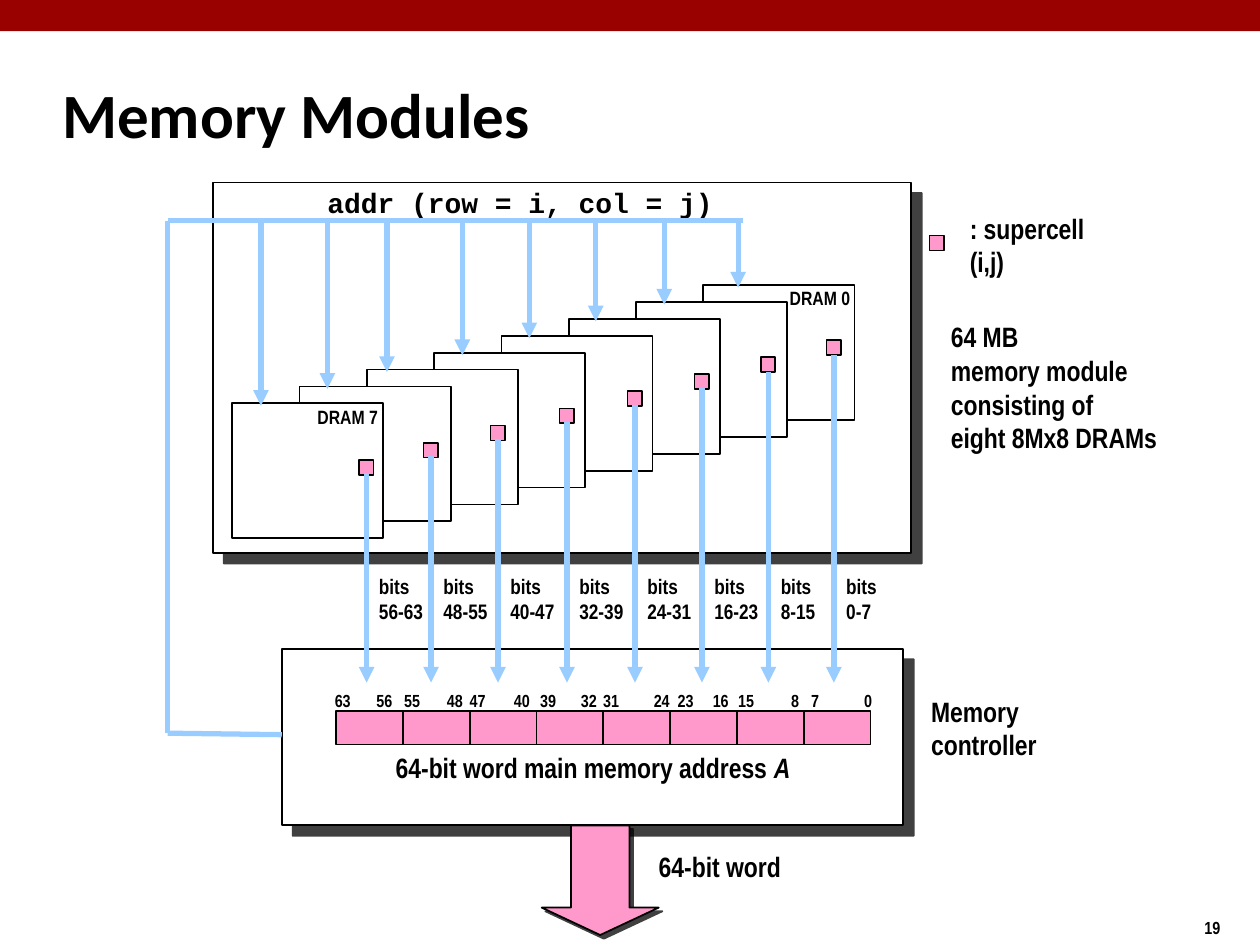
from dataclasses import dataclass

import pptx
import pptx.dml.color
import pptx.enum.shapes
import pptx.enum.text
import pptx.oxml
import pptx.oxml.ns
import pptx.util
from lxml import etree

Cm, Pt = pptx.util.Cm, pptx.util.Pt
SHAPE = pptx.enum.shapes.MSO_SHAPE
ANCHOR = pptx.enum.text.MSO_ANCHOR
ALIGN = pptx.enum.text.PP_ALIGN
qn = pptx.oxml.ns.qn


@dataclass(frozen=True)
class Theme:
    band: str = "990000"
    ink: str = "000000"
    paper: str = "FFFFFF"
    cell: str = "FF99CC"
    wire: str = "99CCFF"
    title_font: str = "Calibri"
    body_font: str = "Arial Narrow"
    code_font: str = "Courier New"
    title: int = 36
    label: int = 16
    bits: int = 12
    chip: int = 11
    small: int = 10
    thin: int = 1
    thick: int = 3


T = Theme()

# One column per DRAM, from DRAM 7 on the left to DRAM 0 on the right (cm)
ADDR_X = [5.26, 6.6, 7.8, 9.32, 10.67, 12.01, 13.39, 14.88]
DATA_X = [7.39, 8.69, 10.04, 11.43, 12.8, 14.15, 15.49, 16.81]
HIGH_X = [6.5, 7.9, 9.22, 10.64, 11.91, 13.41, 14.63, 16.1]
LOW_X = [7.34, 8.76, 10.11, 11.46, 12.93, 14.12, 15.7, 17.17]
COUNT = len(DATA_X)
BUS_Y, BUS_LEFT, BUS_RIGHT = 4.45, 3.38, 14.97
RISE = 0.34


def rgb(color):
    return pptx.dml.color.RGBColor.from_string(color)


def add_run(p, text, size, font=T.body_font, italic=None):
    r = p.add_run()
    r.text = text
    r.font.size, r.font.name = Pt(size), font
    r.font.bold, r.font.italic = True, italic
    r.font.color.rgb = rgb(T.ink)


def add_label(s, x, y, w, h, lines, size, font=T.body_font):
    """Left-aligned text, one paragraph for each line."""
    tf = s.shapes.add_textbox(Cm(x), Cm(y), Cm(w), Cm(h)).text_frame
    tf.word_wrap = True
    tf.vertical_anchor = ANCHOR.MIDDLE
    for i, line in enumerate(lines):
        p = tf.add_paragraph() if i else tf.paragraphs[0]
        add_run(p, line, size, font)
    return tf


def add_shadow(sp, distance):
    effects = sp._element.spPr.find(qn("a:effectLst"))
    shadow = etree.SubElement(effects, qn("a:outerShdw"), dist=str(Pt(distance)),
                              dir="2700000", algn="tl", rotWithShape="0")
    color = etree.SubElement(shadow, qn("a:srgbClr"), val=T.ink)
    etree.SubElement(color, qn("a:alpha"), val="75000")


def add_box(s, x, y, w, h, fill, kind=SHAPE.RECTANGLE, outlined=True, shadow=0):
    sp = s.shapes.add_shape(kind, Cm(x), Cm(y), Cm(w), Cm(h))
    sp.shadow.inherit = False
    sp.fill.solid()
    sp.fill.fore_color.rgb = rgb(fill)
    if outlined:
        sp.line.color.rgb = rgb(T.ink)
        sp.line.width = Pt(T.thin)
    else:
        sp.line.fill.background()
    if shadow:
        add_shadow(sp, shadow)
    return sp


def add_wire(s, x1, y1, x2, y2, arrow=False):
    c = s.shapes.add_connector(pptx.enum.shapes.MSO_CONNECTOR.STRAIGHT,
                               Cm(x1), Cm(y1), Cm(x2), Cm(y2))
    c.line.color.rgb = rgb(T.wire)
    c.line.width = Pt(T.thick)
    if arrow:
        etree.SubElement(c.line._get_or_add_ln(), qn("a:tailEnd"), type="triangle")
    etree.SubElement(c._element.spPr, qn("a:effectLst"))


def add_supercell(s, center_x, y):
    add_box(s, center_x - 0.15, y, 0.29, 0.3, T.cell)


def add_title(s, text):
    sp = s.shapes.title
    sp.left, sp.top, sp.width, sp.height = Cm(1), Cm(1.22), Cm(21.08), Cm(2.11)
    tf = sp.text_frame
    tf.vertical_anchor = ANCHOR.MIDDLE
    tf.paragraphs[0].alignment = ALIGN.LEFT
    add_run(tf.paragraphs[0], text, T.title, T.title_font)


def add_module(s):
    """Memory module board with its staggered DRAMs, back to front."""
    add_box(s, 4.3, 3.68, 14.07, 7.47, T.paper, shadow=8.5)
    for i in reversed(range(COUNT)):
        add_box(s, 4.68 + 1.357 * i, 8.13 - RISE * i, 3.05, 2.72, T.paper)
    add_label(s, 6.15, 8.05, 2, 0.71, ["DRAM 7"], T.chip)
    add_label(s, 15.67, 5.64, 2, 0.71, ["DRAM 0"], T.chip)


def add_address_bus(s):
    add_label(s, 6.35, 3.6, 8.5, 0.94, ["addr (row = i, col = j)"], T.label, T.code_font)
    add_wire(s, BUS_LEFT, BUS_Y, BUS_RIGHT, BUS_Y)
    add_wire(s, BUS_LEFT, 14.78, BUS_LEFT, BUS_Y)
    add_wire(s, 5.68, 14.81, BUS_LEFT, 14.78)
    for i, x in enumerate(ADDR_X):
        add_wire(s, x, BUS_Y, x, 8.18 - RISE * i, arrow=True)


def add_data_lines(s):
    """Supercell, its line to the controller and its bit range."""
    for i, x in enumerate(DATA_X):
        low = 8 * (COUNT - 1 - i)
        add_supercell(s, x, 9.27 - 0.345 * i)
        add_wire(s, x, 9.53 - RISE * i, x, 13.76, arrow=True)
        add_label(s, x, 11.43, 1.6, 1.27, ["bits", f"{low}-{low + 7}"], T.bits)


def add_word(s):
    """64-bit word, one byte for each DRAM."""
    for i, (high_x, low_x) in enumerate(zip(HIGH_X, LOW_X)):
        low = 8 * (COUNT - 1 - i)
        add_box(s, 6.78 + 1.346 * i, 14.33, 1.346, 0.68, T.cell)
        for x, bit in ((high_x, low + 7), (low_x, low)):
            add_label(s, x, 13.77, 1, 0.69, [str(bit)], T.small)
    tf = add_label(s, 7.47, 14.99, 8.97, 0.94,
                   ["64-bit word main memory address "], T.label)
    p = tf.paragraphs[0]
    p.alignment = ALIGN.CENTER
    add_run(p, "A", T.label, italic=True)


def main():
    prs = pptx.Presentation()
    prs.slide_width, prs.slide_height = Cm(25.4), Cm(19.05)
    s = prs.slides.add_slide(prs.slide_layouts[5])

    # Frame of the slide
    add_box(s, 0, 0, 25.4, 0.63, T.band, outlined=False)
    add_title(s, "Memory Modules")
    add_label(s, 24.03, 18.36, 1.3, 0.69, ["19"], T.small)

    # Module, controller and the lines between them
    add_module(s)
    add_box(s, 5.69, 13.08, 12.52, 3.56, T.paper, shadow=8.5)
    add_address_bus(s)
    add_data_lines(s)
    add_word(s)

    # Word sent out
    add_box(s, 10.92, 16.64, 2.36, 2.21, T.cell, SHAPE.DOWN_ARROW, shadow=3).adjustments[1] = 0.25
    add_label(s, 13.03, 16.99, 3.4, 0.94, ["64-bit word"], T.label)

    # Notes at the side
    add_supercell(s, 18.89, 4.75)
    add_label(s, 19.3, 4.19, 3.4, 1.5, [": supercell (i,j)"], T.label)
    add_label(s, 18.92, 6.32, 5.2, 2.97,
              ["64 MB", "memory module", "consisting of", "eight 8Mx8 DRAMs"], T.label)
    add_label(s, 18.52, 13.87, 3, 1.6, ["Memory", "controller"], T.label)

    prs.save("out.pptx")


if __name__ == "__main__":
    main()
